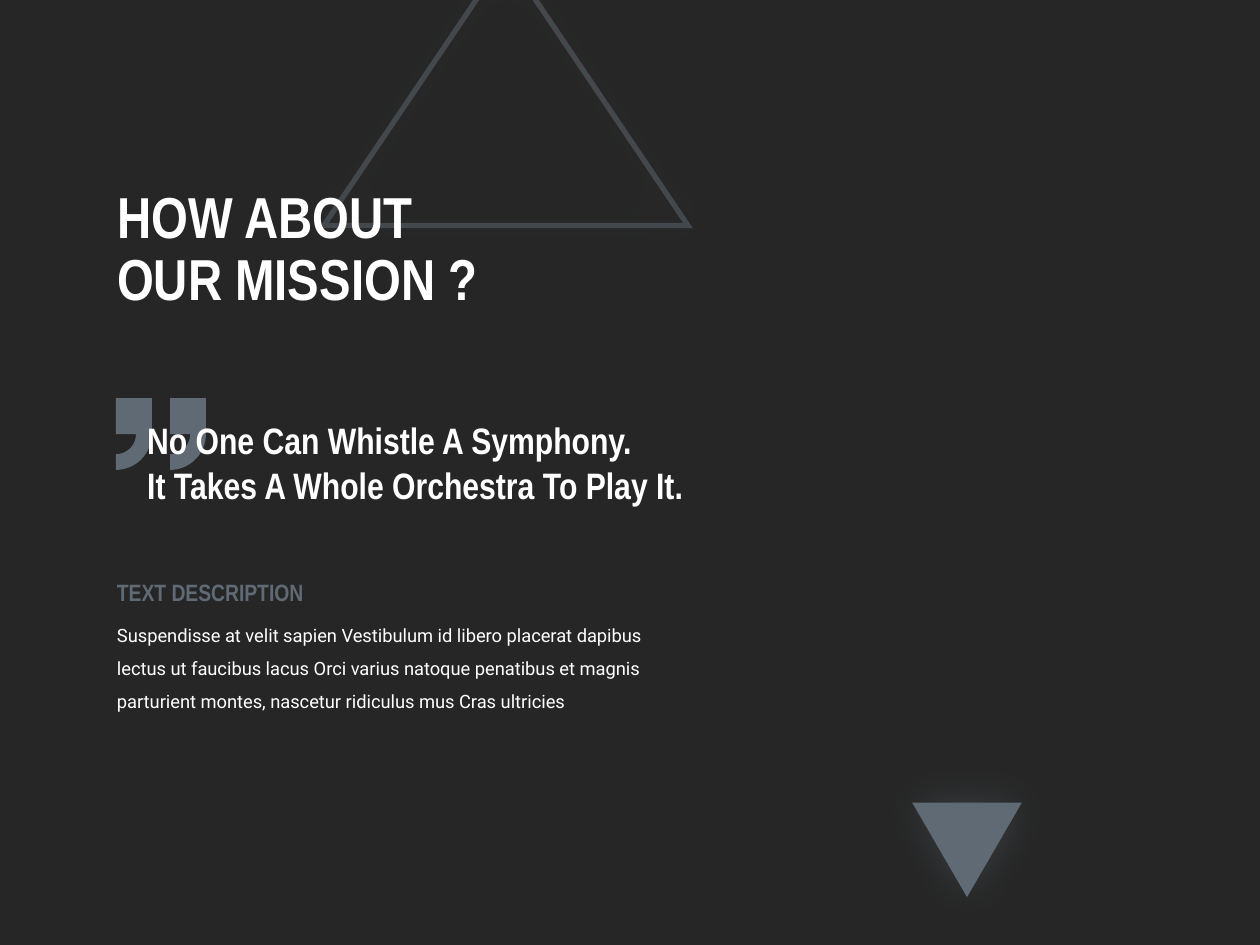
from dataclasses import dataclass
from math import cos, pi, sin

from lxml import etree
from pptx import Presentation
from pptx.dml.color import RGBColor
from pptx.enum.shapes import MSO_SHAPE
from pptx.enum.text import MSO_ANCHOR, MSO_AUTO_SIZE, PP_ALIGN
from pptx.oxml.ns import qn
from pptx.util import Inches, Pt

TRIANGLE = MSO_SHAPE.ISOSCELES_TRIANGLE
LEFT = PP_ALIGN.LEFT
MIDDLE = MSO_ANCHOR.MIDDLE
TOP = MSO_ANCHOR.TOP
NO_AUTOFIT = MSO_AUTO_SIZE.NONE
GROW = MSO_AUTO_SIZE.SHAPE_TO_FIT_TEXT


@dataclass(frozen=True)
class Theme:
    background: RGBColor = RGBColor(0x26, 0x26, 0x26)
    text: RGBColor = RGBColor(0xFF, 0xFF, 0xFF)
    accent: RGBColor = RGBColor(0x60, 0x6A, 0x74)
    heading_font: str = "Arial Narrow"
    body_font: str = "Roboto"
    title_size: float = 33
    quote_size: float = 21
    label_size: float = 13.5
    body_size: float = 10.5


THEME = Theme()


def set_attributes(target, values):
    for name, value in values.items():
        setattr(target, name, value)


def place(shape, left, top, width, height):
    box = {"left": left, "top": top, "width": width, "height": height}
    set_attributes(shape, {name: Inches(value) for name, value in box.items()})


def format_text(shape, text, size, frame_format, color=THEME.text,
                font=THEME.heading_font, bold=True, spacing=1.0):
    frame = shape.text_frame
    frame.text = text
    set_attributes(frame, {"word_wrap": True, **frame_format})
    for paragraph in frame.paragraphs:
        set_attributes(paragraph, {"alignment": LEFT, "line_spacing": spacing})
        for run in paragraph.runs:
            set_attributes(run.font, {"name": font, "size": Pt(size), "bold": bold})
            run.font.color.rgb = color


def add_text(slide, box, text, size, **text_format):
    shape = slide.shapes.add_textbox(*map(Inches, box))
    format_text(shape, text, size,
                {"vertical_anchor": TOP, "auto_size": GROW}, **text_format)


def add_alpha(color_element, percent):
    etree.SubElement(color_element, qn("a:alpha"), val=str(percent * 1000))


def add_glow(shape, blur=25, percent=35):
    shape.shadow.inherit = False
    effects = shape._element.spPr.find(qn("a:effectLst"))
    shadow = etree.SubElement(effects, qn("a:outerShdw"), blurRad=str(Pt(blur)),
                              dist="0", dir="0", algn="ctr", rotWithShape="0")
    color = etree.SubElement(shadow, qn("a:srgbClr"), val=str(THEME.accent))
    add_alpha(color, percent)


def fill_accent(shape):
    shape.fill.solid()
    shape.fill.fore_color.rgb = THEME.accent
    shape.line.fill.background()


def add_outline_triangle(slide, box):
    shape = slide.shapes.add_shape(TRIANGLE, *map(Inches, box))
    shape.fill.background()
    shape.line.width = Pt(3)
    shape.line.color.rgb = THEME.accent
    line = shape._element.spPr.find(qn("a:ln"))
    add_alpha(line.find(".//" + qn("a:srgbClr")), 50)
    etree.SubElement(line, qn("a:miter"), lim="800000")
    add_glow(shape)
    return shape


def add_solid_triangle(slide, box):
    shape = slide.shapes.add_shape(TRIANGLE, *map(Inches, box))
    shape.rotation = 180
    fill_accent(shape)
    add_glow(shape)


def quarter_arc(left, center_y, radius, steps=16):
    angles = [step * pi / 2 / steps for step in range(steps + 1)]
    return [(left + radius * cos(angle), center_y + radius * sin(angle))
            for angle in angles]


def add_quote_marks(slide, lefts, top, size=0.285, inner_radius=0.16):
    group = slide.shapes.add_group_shape()
    middle = top + size
    for left in lefts:
        points = [(left, middle), *quarter_arc(left, middle, inner_radius),
                  *reversed(quarter_arc(left, middle, size)), (left + size, top)]
        builder = group.shapes.build_freeform(Inches(left), Inches(top))
        builder.add_line_segments([(Inches(x), Inches(y)) for x, y in points])
        mark = builder.convert_to_shape()
        fill_accent(mark)
        mark.shadow.inherit = False


def main():
    presentation = Presentation()
    set_attributes(presentation, {"slide_width": Inches(10), "slide_height": Inches(7.5)})
    slide = presentation.slides.add_slide(presentation.slide_layouts[0])
    slide.background.fill.solid()
    slide.background.fill.fore_color.rgb = THEME.background
    subtitle = slide.placeholders[1]._element
    subtitle.getparent().remove(subtitle)

    title = slide.shapes.title
    place(title, 0.83, 1.2, 4.22, 1.58)
    format_text(title, "HOW ABOUT\vOUR MISSION ?", THEME.title_size,
                {"vertical_anchor": MIDDLE, "auto_size": NO_AUTOFIT}, spacing=0.9)

    outline = add_outline_triangle(slide, (2.57, -0.35, 2.89, 2.14))
    title._element.addprevious(outline._element)
    add_solid_triangle(slide, (7.24, 6.37, 0.87, 0.75))
    add_quote_marks(slide, (0.92, 1.35), 3.16)

    add_text(slide, (1.07, 3.27, 4.74, 0.81),
             "No One Can Whistle A Symphony.\nIt Takes A Whole Orchestra To Play It.",
             THEME.quote_size)
    add_text(slide, (0.83, 4.82, 4.71, 0.87),
             "Suspendisse at velit sapien Vestibulum id libero placerat dapibus "
             "lectus ut faucibus lacus Orci varius natoque penatibus et magnis "
             "parturient montes, nascetur ridiculus mus Cras ultricies",
             THEME.body_size, font=THEME.body_font, bold=False, spacing=1.5)
    add_text(slide, (0.83, 4.54, 1.84, 0.33), "TEXT DESCRIPTION",
             THEME.label_size, color=THEME.accent)

    presentation.save("out.pptx")


if __name__ == "__main__":
    main()
